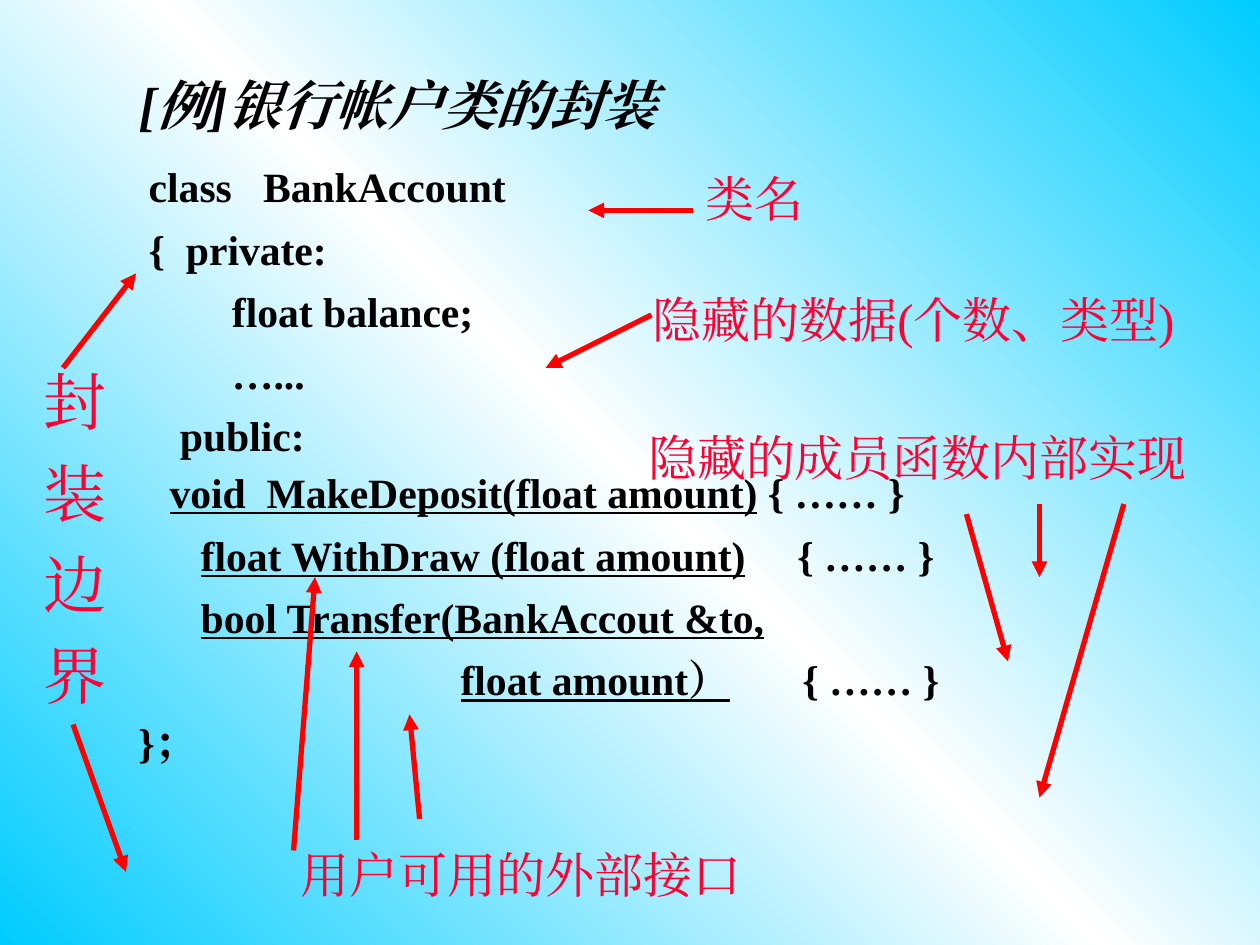
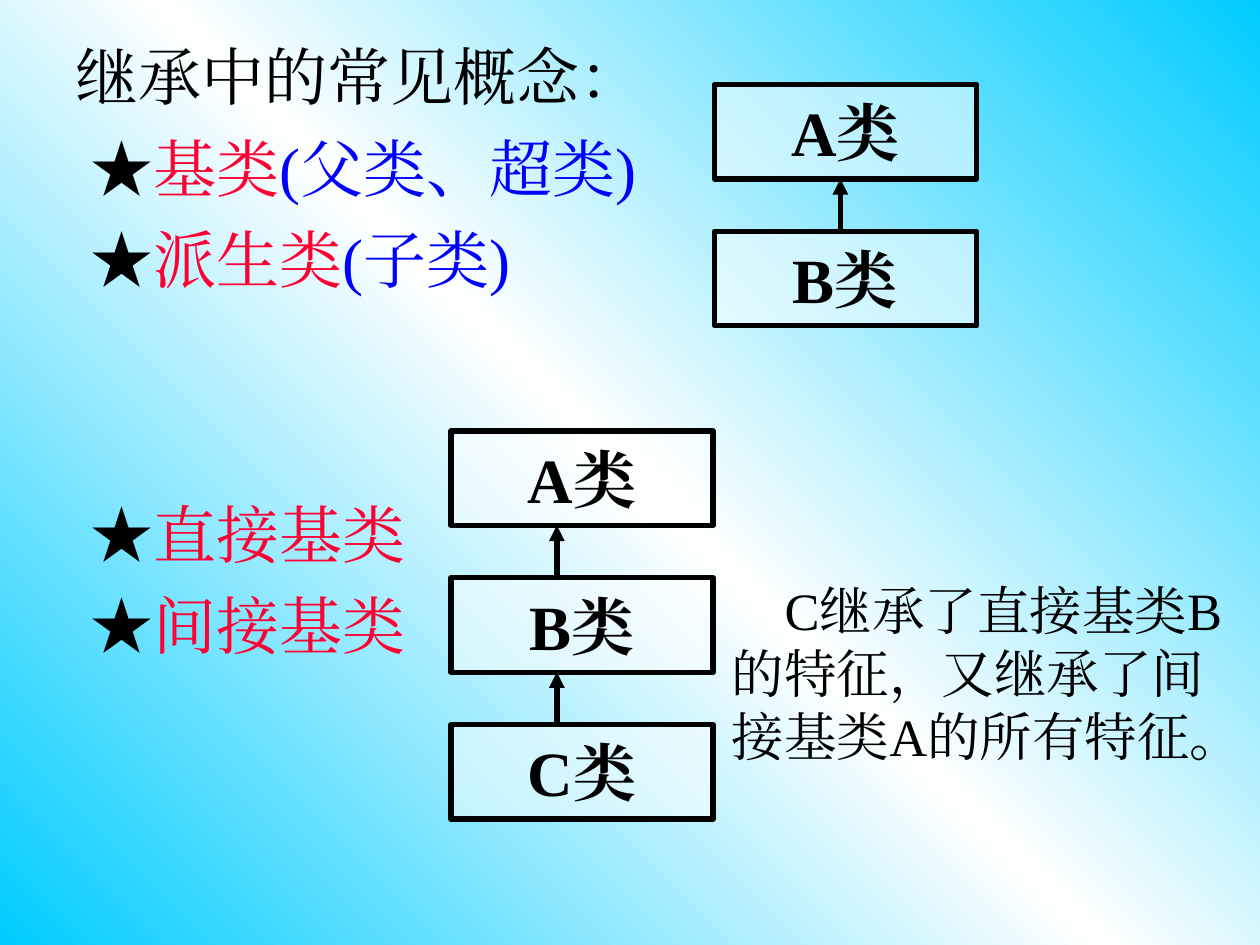
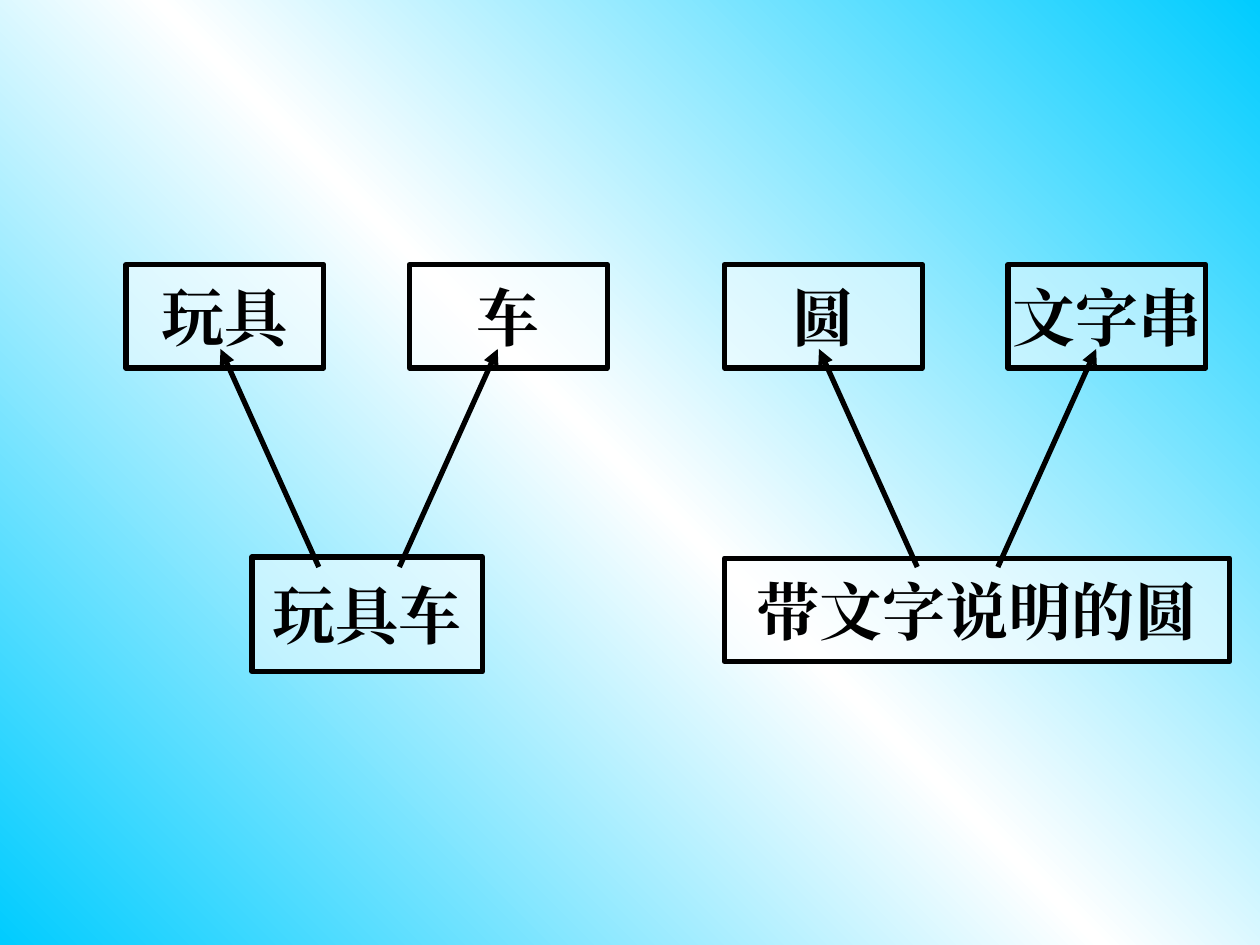
from lxml import etree
from pptx import Presentation
from pptx.dml.color import RGBColor
from pptx.enum import shapes, text
from pptx.oxml.ns import qn
from pptx.util import Inches, Pt

FONT = "Times New Roman"
BLACK, WHITE, RED, CRIMSON, BLUE, SKY = (
    "000000", "FFFFFF", "FF0000", "FF0033", "0000FF", "00CCFF")
CENTER = text.PP_ALIGN.CENTER


def color(hex_code):
    return RGBColor.from_string(hex_code)


def sub(parent, tag, **attrs):
    return etree.SubElement(parent, qn(tag), attrs)


# Shared background, on the master
def set_background(prs):
    master = prs.slide_master
    master.background.fill.gradient()
    grad = next(master.element.iter(qn("a:gradFill")))
    for child in list(grad):
        grad.remove(child)
    stops = sub(grad, "a:gsLst")
    for pos, hex_code in ((0, SKY), (50, WHITE), (100, SKY)):
        sub(sub(stops, "a:gs", pos=str(pos * 1000)), "a:srgbClr", val=hex_code)
    sub(grad, "a:lin", ang=str(135 * 60000), scaled="0")


# Text
def add_run(p, words, size=36, hex_code=BLACK, bold=False, italic=False,
            underline=False):
    r = p.add_run()
    r.text = words
    f = r.font
    f.name, f.size, f.color.rgb = FONT, Pt(size), color(hex_code)
    f.bold, f.italic, f.underline = bold, italic, underline
    sub(r._r.get_or_add_rPr(), "a:ea", typeface=FONT)


def setup_frame(tf, wrap=True, anchor=text.MSO_ANCHOR.TOP):
    tf.word_wrap, tf.auto_size = wrap, text.MSO_AUTO_SIZE.NONE
    tf.vertical_anchor = anchor
    tf.margin_left = tf.margin_right = Inches(0.1)
    tf.margin_top = tf.margin_bottom = Inches(0.05)


def write_lines(tf, lines, space=9, align=text.PP_ALIGN.LEFT, **fmt):
    """Each line is a list of (words, format) pairs."""
    for i, parts in enumerate(lines):
        p = tf.add_paragraph() if i else tf.paragraphs[0]
        p.alignment = align
        p.space_before = Pt(space if i else 0)
        for words, extra in parts:
            add_run(p, words, **{**fmt, **extra})


def add_text(s, box, lines, **fmt):
    tf = s.shapes.add_textbox(*map(Inches, box)).text_frame
    setup_frame(tf)
    write_lines(tf, lines, **fmt)
    return tf


def add_label(s, box, words):
    add_text(s, box, [[(words, {})]], align=CENTER, size=28, hex_code=CRIMSON)


def set_title(s, box, words, **fmt):
    title = s.shapes.title
    title.left, title.top, title.width, title.height = map(Inches, box)
    setup_frame(title.text_frame)
    write_lines(title.text_frame, [[(words, {})]], **fmt)


# Arrows and class boxes
def add_arrow(s, start, end, hex_code=BLACK):
    line = s.shapes.add_connector(shapes.MSO_CONNECTOR.STRAIGHT,
                                  *map(Inches, (*start, *end)))
    line.line.color.rgb, line.line.width = color(hex_code), Pt(3)
    sub(line.line._get_or_add_ln(), "a:tailEnd", type="triangle")
    sub(line._element.spPr, "a:effectLst")


def add_class_box(s, box, name):
    sp = s.shapes.add_shape(shapes.MSO_SHAPE.RECTANGLE, *map(Inches, box))
    sp.shadow.inherit = False
    sp.fill.solid()
    sp.fill.fore_color.rgb = color(WHITE)
    fill = sp._element.spPr.find(qn("a:solidFill"))
    sub(fill[0], "a:alpha", val="50000")
    sp.line.color.rgb, sp.line.width = color(BLACK), Pt(3)
    setup_frame(sp.text_frame, wrap=False, anchor=text.MSO_ANCHOR.MIDDLE)
    write_lines(sp.text_frame, [[(name, {})]], align=CENTER, bold=True)


def add_class_chain(s, left, top, names, arrow_x):
    width, height, pitch = 2.08, 0.75, 1.165
    for i, name in enumerate(names):
        y = top + i * pitch
        add_class_box(s, (left, y, width, height), name)
        if i:
            x = left + arrow_x
            add_arrow(s, (x, y), (x, y - pitch + height))


def add_two_parents(s, left, top, parents, child, child_box):
    for i, name in enumerate(parents):
        add_class_box(s, (left + i * 2.25, top, 1.57, 0.82), name)
    dx, dy, width, height = child_box
    add_class_box(s, (left + dx, top + dy, width, height), child)
    for x1, x2 in ((1.53, 0.75), (2.17, 2.95)):
        add_arrow(s, (left + x1, top + 2.4), (left + x2, top + 0.67))


# Slide 1: encapsulation
def add_code(s, box):
    u = {"underline": True}
    lines = [
        [(" class   BankAccount", {})],
        [(" {  private:", {})],
        [("         float balance;", {})],
        [("         …...", {})],
        [("    public:", {})],
        [("   ", {}), ("void  MakeDeposit(float amount)", u), (" { …… }", {})],
        [("      ", {}), ("float WithDraw (float amount)", u),
         ("     { …… }", {})],
        [("      ", {}), ("bool Transfer(BankAccout &to,\t", u)],
        [(" " * 31, {}), ("float amount）", u), ("       { …… }", {})],
        [("}；", {})],
    ]
    tf = add_text(s, box, lines, space=7, size=23.8, bold=True)
    tf.paragraphs[5].line_spacing = 0.9
    # The underline of the Transfer line runs on to a tab stop
    tabs = sub(tf.paragraphs[7]._p.get_or_add_pPr(), "a:tabLst")
    sub(tabs, "a:tab", pos=str(Inches(6.61)), algn="l")


def build_encapsulation(prs):
    s = prs.slides.add_slide(prs.slide_layouts[5])
    set_title(s, (1, 0.52, 9, 0.62), "[例]银行帐户类的封装",
              size=30.6, bold=True, italic=True)
    add_code(s, (1, 1.23, 9, 5.02))
    add_text(s, (0.25, 2.83, 0.75, 4.31), [[(c, {})] for c in "封装边界"],
             hex_code=CRIMSON)
    for box, words in (
            ((2.01, 6.65, 4.25, 0.57), "用户可用的外部接口"),
            ((4.84, 3.34, 4.88, 0.57), "隐藏的成员函数内部实现"),
            ((4.69, 2.25, 5.12, 0.57), "隐藏的数据(个数、类型)"),
            ((5.24, 1.29, 1.5, 0.57), "类名")):
        add_label(s, box, words)
    for start, end in (
            ((0.5, 2.92), (1.08, 2.17)), ((0.58, 5.75), (1, 6.92)),
            ((2.33, 6.75), (2.5, 4.58)), ((2.83, 6.67), (2.83, 5.17)),
            ((3.33, 6.5), (3.25, 5.67)), ((8.25, 4), (8.25, 4.58)),
            ((7.67, 4.08), (8, 5.25)), ((8.92, 4), (8.25, 6.33)),
            ((5.17, 2.5), (4.33, 2.92)), ((5.5, 1.67), (4.67, 1.67))):
        add_arrow(s, start, end, RED)


# Slide 2: inheritance terms
def add_terms(s, box, terms):
    add_text(s, box, [[("★", {}), (term, {"hex_code": CRIMSON}),
                       *([(alias, {"hex_code": BLUE})] if alias else [])]
                      for term, alias in terms])


def build_terms(prs):
    s = prs.slides.add_slide(prs.slide_layouts[5])
    set_title(s, (0.5, 0.25, 5.1, 0.72), "继承中的常见概念：")
    add_terms(s, (0.62, 0.98, 5.05, 1.5),
              [("基类", "(父类、超类)"), ("派生类", "(子类)")])
    add_terms(s, (0.62, 3.88, 2.9, 1.5), [("直接基类", ""), ("间接基类", "")])
    add_class_chain(s, 5.67, 0.67, ["A类", "B类"], 1)
    add_class_chain(s, 3.58, 3.42, ["A类", "B类", "C类"], 0.84)
    tf = add_text(s, (5.71, 4.54, 4.17, 2.1),
                  [[("C继承了直接基类B的特征，又继承了间接基类A的所有特征。", {})]],
                  size=30)
    tf.paragraphs[0]._p.get_or_add_pPr().set("indent", str(Inches(0.42)))


# Slide 3: multiple inheritance
def build_multiple(prs):
    s = prs.slides.add_slide(prs.slide_layouts[6])
    add_two_parents(s, 1, 2.1, ["玩具", "车"], "玩具车",
                    (1, 2.32, 1.83, 0.91))
    add_two_parents(s, 5.75, 2.1, ["圆", "文字串"], "带文字说明的圆",
                    (0, 2.33, 4.01, 0.82))


def main():
    prs = Presentation()
    prs.slide_width, prs.slide_height = Inches(10), Inches(7.5)
    set_background(prs)
    build_encapsulation(prs)
    build_terms(prs)
    build_multiple(prs)
    prs.save("out.pptx")


if __name__ == "__main__":
    main()
